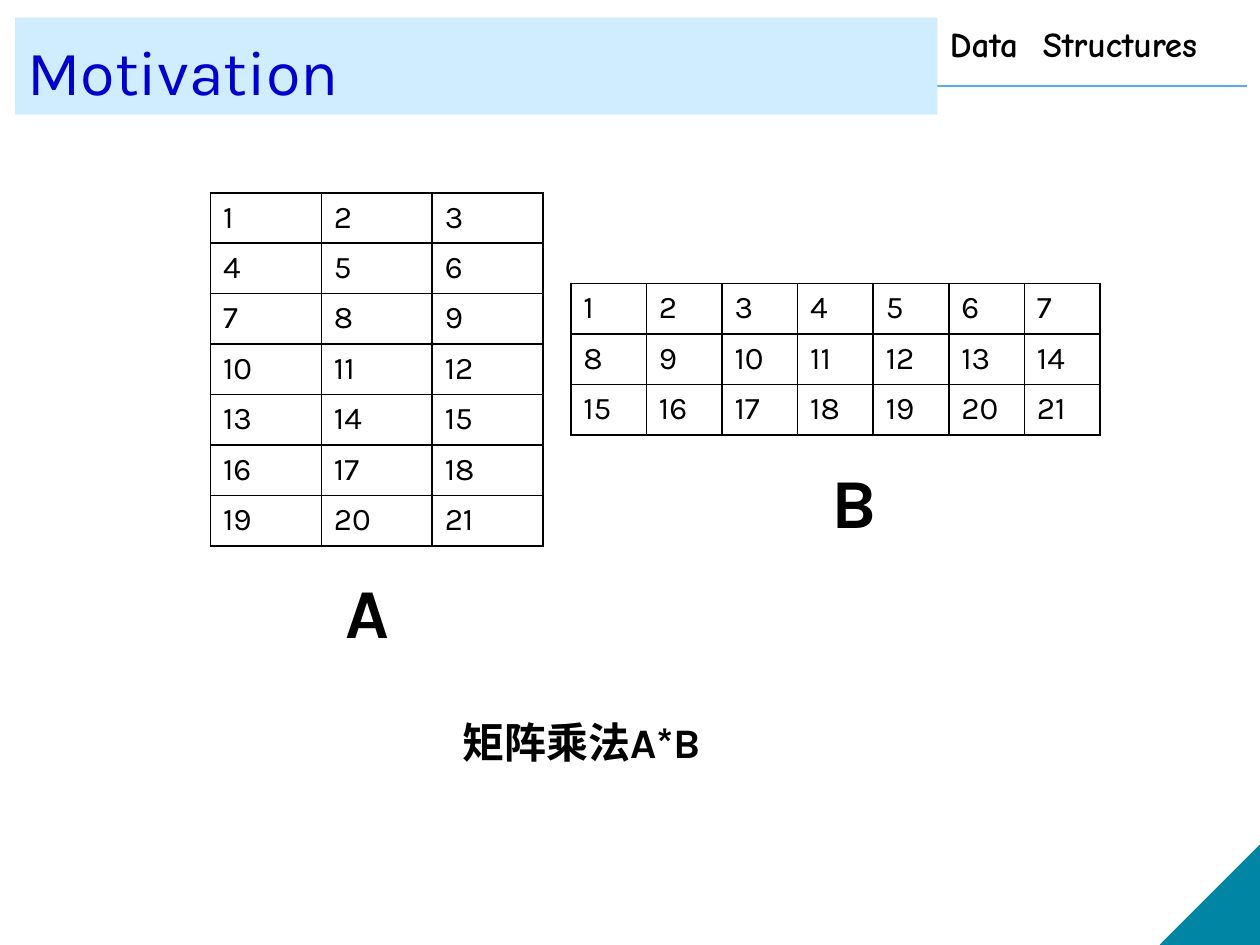
from dataclasses import dataclass

from lxml import etree
from pptx import Presentation
from pptx.dml.color import RGBColor
from pptx.enum.shapes import MSO_CONNECTOR, MSO_SHAPE
from pptx.enum.text import MSO_ANCHOR, MSO_AUTO_SIZE, PP_ALIGN
from pptx.oxml.ns import qn
from pptx.util import Inches, Pt

STRAIGHT = MSO_CONNECTOR.STRAIGHT
RECTANGLE = MSO_SHAPE.RECTANGLE
RIGHT_TRIANGLE = MSO_SHAPE.RIGHT_TRIANGLE
BOTTOM = MSO_ANCHOR.BOTTOM
LEFT = PP_ALIGN.LEFT
GROW = MSO_AUTO_SIZE.SHAPE_TO_FIT_TEXT


@dataclass(frozen=True)
class Theme:
    body_font: str = "Karla"
    course_font: str = "Comic Neue"
    ink: str = "000000"
    title_ink: str = "0000CC"
    title_fill: str = "CFEDFE"
    rule: str = "5AAAED"
    corner: str = "0085A4"
    title_size: int = 36
    label_size: int = 40
    caption_size: int = 24
    course_size: int = 20
    cell_size: int = 18


class SlideBuilder:
    def __init__(self, page, theme):
        self.page = page
        self.theme = theme

    def style(self, text_frame, size, color, font, bold):
        for para in text_frame.paragraphs:
            para.alignment = LEFT
            for span in para.runs:
                span.font.size = Pt(size)
                span.font.name = font
                span.font.bold = bold
                span.font.color.rgb = RGBColor.from_string(color)

    def rule(self, left, right, top):
        line = self.page.shapes.add_connector(
            STRAIGHT, Inches(left), Inches(top), Inches(right), Inches(top))
        line.line.color.rgb = RGBColor.from_string(self.theme.rule)
        line.line.width = Pt(1)
        etree.SubElement(line._element.spPr, qn("a:effectLst"))

    def shape(self, kind, left, top, width, height, fill):
        shape = self.page.shapes.add_shape(
            kind, Inches(left), Inches(top), Inches(width), Inches(height))
        shape.shadow.inherit = False
        shape.fill.solid()
        shape.fill.fore_color.rgb = RGBColor.from_string(fill)
        shape.line.fill.background()
        return shape

    def corner(self, size, left, top):
        color = self.theme.corner
        triangle = self.shape(RIGHT_TRIANGLE, left, top, size, size, color)
        triangle.line.color.rgb = RGBColor.from_string(color)
        triangle.line.width = Pt(0.75)
        triangle._element.spPr.find(qn("a:xfrm")).set("flipH", "1")

    def title(self, text, left, top, width, height):
        theme = self.theme
        banner = self.shape(RECTANGLE, left, top, width, height, theme.title_fill)
        banner.text_frame.text = text
        banner.text_frame.vertical_anchor = BOTTOM
        self.style(banner.text_frame, theme.title_size, theme.title_ink,
                   theme.body_font, False)

    def text(self, text, left, top, width, height, size, font=None):
        box = self.page.shapes.add_textbox(
            Inches(left), Inches(top), Inches(width), Inches(height))
        frame = box.text_frame
        frame.word_wrap = True
        frame.auto_size = GROW
        frame.text = text
        self.style(frame, size, self.theme.ink, font or self.theme.body_font, True)

    def border(self, cell):
        properties = cell._tc.get_or_add_tcPr()
        for position, side in enumerate(("lnL", "lnR", "lnT", "lnB")):
            edge = etree.Element(qn(f"a:{side}"), w=str(Pt(1)))
            fill = etree.SubElement(edge, qn("a:solidFill"))
            etree.SubElement(fill, qn("a:srgbClr"), val=self.theme.ink)
            properties.insert(position, edge)

    def matrix(self, rows, columns, left, top, column_width, row_height):
        table = self.page.shapes.add_table(
            rows, columns, Inches(left), Inches(top),
            Inches(columns * column_width), Inches(rows * row_height)).table
        table.first_row = False
        table.horz_banding = False
        for column in table.columns:
            column.width = Inches(column_width)
        for row in table.rows:
            row.height = Inches(row_height)
        for number, cell in enumerate(table.iter_cells(), start=1):
            cell.text_frame.text = str(number)
            cell.fill.background()
            self.style(cell.text_frame, self.theme.cell_size, self.theme.ink,
                       self.theme.body_font, False)
            self.border(cell)


def main():
    deck = Presentation()
    deck.slide_width = Inches(10)
    deck.slide_height = Inches(7.5)
    theme = Theme()
    builder = SlideBuilder(deck.slides.add_slide(deck.slide_layouts[6]), theme)

    builder.rule(0.2, 9.9, 0.68)
    builder.corner(0.79, 9.21, 6.71)
    builder.text("Data  Structures", 7.44, 0.13, 2.6, 0.43,
                 theme.course_size, theme.course_font)
    builder.matrix(7, 3, 1.67, 1.53, 0.88, 0.4)
    builder.matrix(3, 7, 4.53, 2.25, 0.6, 0.4)
    builder.text("矩阵乘法A*B", 3.57, 5.64, 4.88, 0.5, theme.caption_size)
    builder.text("A", 2.64, 4.46, 0.95, 0.4, theme.label_size)
    builder.text("B", 6.5, 3.59, 0.94, 0.4, theme.label_size)
    builder.title("Motivation", 0.12, 0.14, 7.32, 0.77)
    deck.save("out.pptx")


if __name__ == "__main__":
    main()
